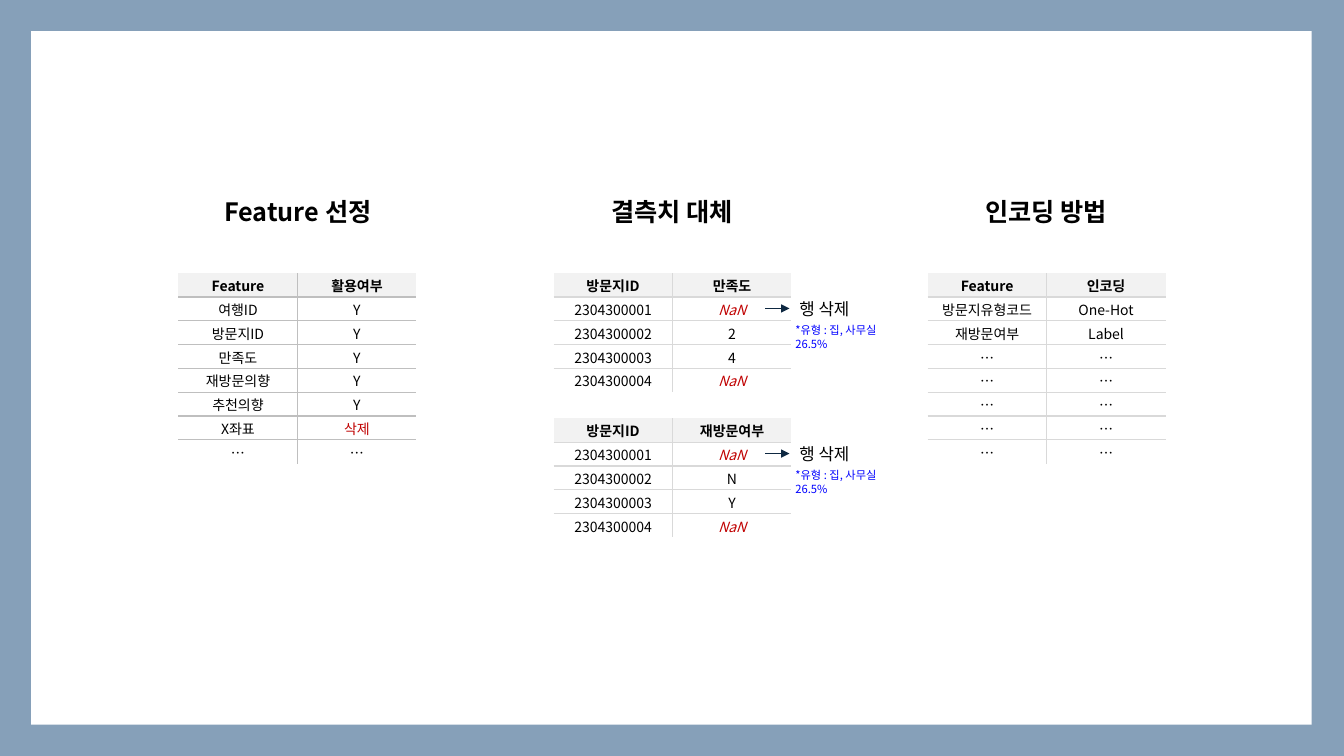
from lxml.etree import SubElement
from pptx import Presentation
from pptx.dml.color import RGBColor
from pptx.enum.shapes import MSO_CONNECTOR, MSO_SHAPE
from pptx.enum.text import MSO_ANCHOR, MSO_AUTO_SIZE, PP_ALIGN
from pptx.oxml.ns import qn
from pptx.util import Inches, Pt

FONT = "Noto Sans CJK KR"
RED = "C00000"


def color(code):
    return RGBColor.from_string(code)


def write(frame, text, size=10, ink="000000", bold=False, italic=False,
          align=PP_ALIGN.CENTER, wrap=True):
    frame.word_wrap = wrap
    par = frame.paragraphs[0]
    par.alignment = align
    run = par.add_run()
    run.text = text
    font = run.font
    font.size, font.bold, font.italic = Pt(size), bold, italic
    font.color.rgb = color(ink)
    font.name = FONT
    SubElement(font._element, qn("a:ea"), typeface=FONT)


deck = Presentation()
deck.slide_width, deck.slide_height = Inches(13.33), Inches(7.5)
slide = deck.slides.add_slide(deck.slide_layouts[6])
shapes = slide.shapes

# Blue frame around a white panel
slide.background.fill.solid()
slide.background.fill.fore_color.rgb = color("86A0B9")
panel = shapes.add_shape(MSO_SHAPE.RECTANGLE, Inches(0.31), Inches(0.31),
                         Inches(12.7), Inches(6.88))
panel.shadow.inherit = False
panel.fill.solid()
panel.fill.fore_color.rgb = color("FFFFFF")
panel.line.fill.background()

# Column headings
heads = [(2.11, 1.69, "Feature 선정"), (5.86, 1.61, "결측치 대체"),
         (9.57, 1.61, "인코딩 방법")]
for left, width, text in heads:
    box = shapes.add_textbox(Inches(left), Inches(1.9), Inches(width), Inches(0.4))
    write(box.text_frame, text, size=18, bold=True)
    box.text_frame.auto_size = MSO_AUTO_SIZE.SHAPE_TO_FIT_TEXT

# Tables: left, top, rule colour, rows
ids = ["2304300001", "2304300002", "2304300003", "2304300004"]
tables = [
    (1.77, 2.71, "BFBFBF", [
        ("Feature", "활용여부"), ("여행ID", "Y"), ("방문지ID", "Y"),
        ("만족도", "Y"), ("재방문의향", "Y"), ("추천의향", "Y"),
        ("X좌표", "삭제"), ("…", "…")]),
    (5.49, 2.71, "D9D9D9",
     [("방문지ID", "만족도"), *zip(ids, ["NaN", "2", "4", "NaN"])]),
    (5.49, 4.15, "D9D9D9",
     [("방문지ID", "재방문여부"), *zip(ids, ["NaN", "N", "Y", "NaN"])]),
    (9.2, 2.71, "D9D9D9", [
        ("Feature", "인코딩"), ("방문지유형코드", "One-Hot"),
        ("재방문여부", "Label"), *[("…", "…")] * 5]),
]
for left, top, rule, rows in tables:
    last = len(rows) - 1
    grid = shapes.add_table(len(rows), 2, Inches(left), Inches(top), Inches(2.36),
                            Inches(1.89 * len(rows) / 8)).table
    grid.first_row = grid.horz_banding = False
    for r, row in enumerate(rows):
        for c, text in enumerate(row):
            cell = grid.cell(r, c)
            cell.vertical_anchor = MSO_ANCHOR.MIDDLE
            cell.margin_left = cell.margin_right = cell.margin_top = Inches(0.01)
            cell.margin_bottom = 0
            write(cell.text_frame, text, bold=r == 0, italic=text == "NaN",
                  ink=RED if text in ("NaN", "삭제") else "000000")

            # Rules between cells only, none on the outer edge
            props = cell._tc.get_or_add_tcPr()
            sides = {"L": c == 1, "R": c == 0, "T": r > 0, "B": r < last}
            for side, shown in sides.items():
                edge = SubElement(props, qn(f"a:ln{side}"), w=str(Pt(1)))
                if shown:
                    fill = SubElement(edge, qn("a:solidFill"))
                    SubElement(fill, qn("a:srgbClr"), val=rule)
                else:
                    SubElement(edge, qn("a:noFill"))
            if r == 0:
                cell.fill.solid()
                cell.fill.fore_color.rgb = color("F2F2F2")
            else:
                cell.fill.background()

# Arrow and notes beside the first row of each middle table
for top in (2.71, 4.15):
    y = Inches(top + 0.35)
    arrow = shapes.add_connector(MSO_CONNECTOR.STRAIGHT, Inches(7.59), y,
                                 Inches(7.83), y)
    arrow.line.color.rgb = color("0E2841")
    arrow.line.width = Pt(0.25)
    SubElement(arrow.line._get_or_add_ln(), qn("a:tailEnd"), type="triangle")
    SubElement(arrow._element.spPr, qn("a:effectLst"))

    notes = [(7.83, 0.2, 0.74, 0.3, "행 삭제", 12, "000000"),
             (7.79, 0.45, 1.21, 0.27, "*유형 : 집, 사무실 26.5%", 8, "0000FF")]
    for left, drop, width, height, text, size, ink in notes:
        box = shapes.add_textbox(Inches(left), Inches(top + drop),
                                 Inches(width), Inches(height))
        write(box.text_frame, text, size=size, ink=ink,
              align=PP_ALIGN.LEFT, wrap=False)

deck.save("out.pptx")
